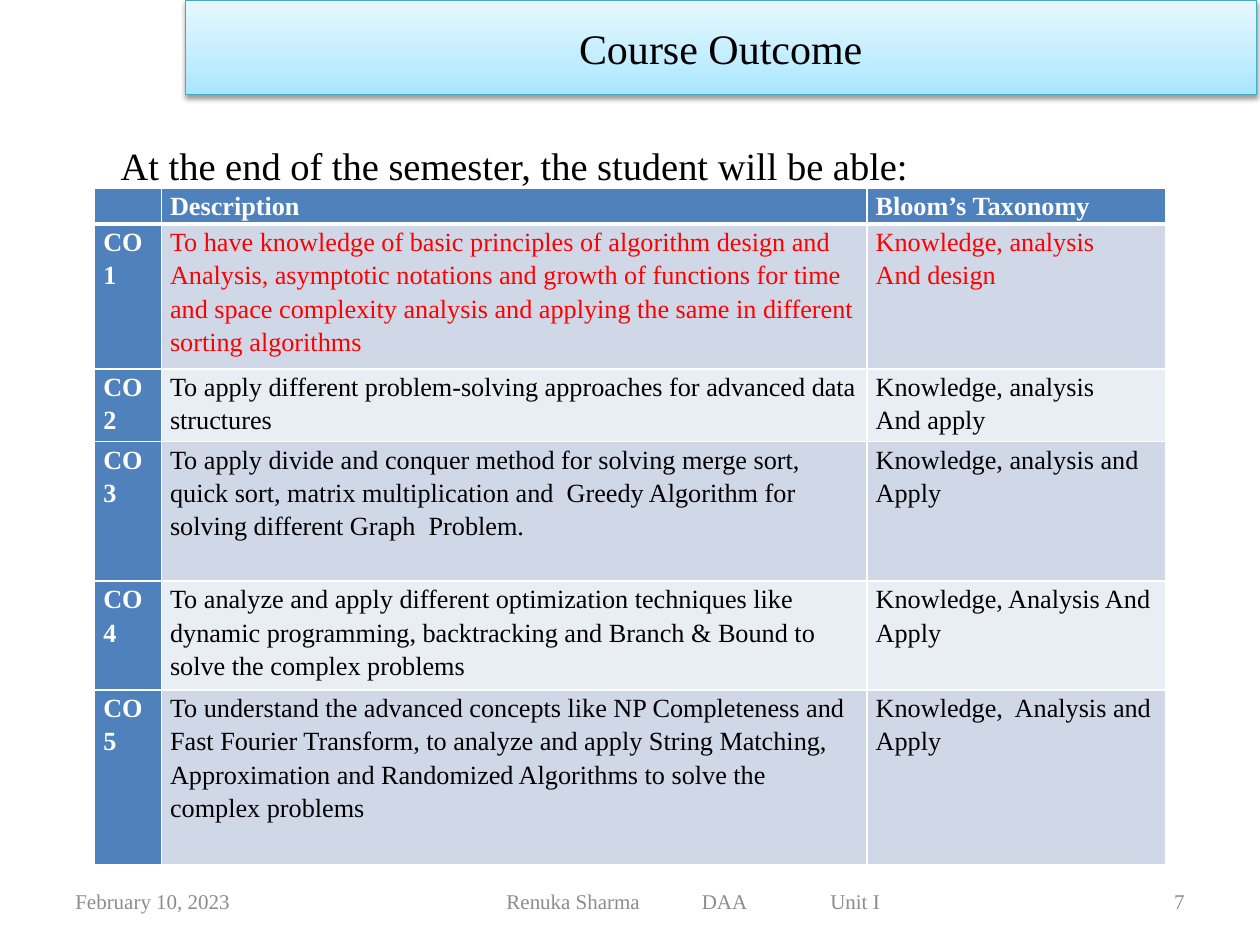
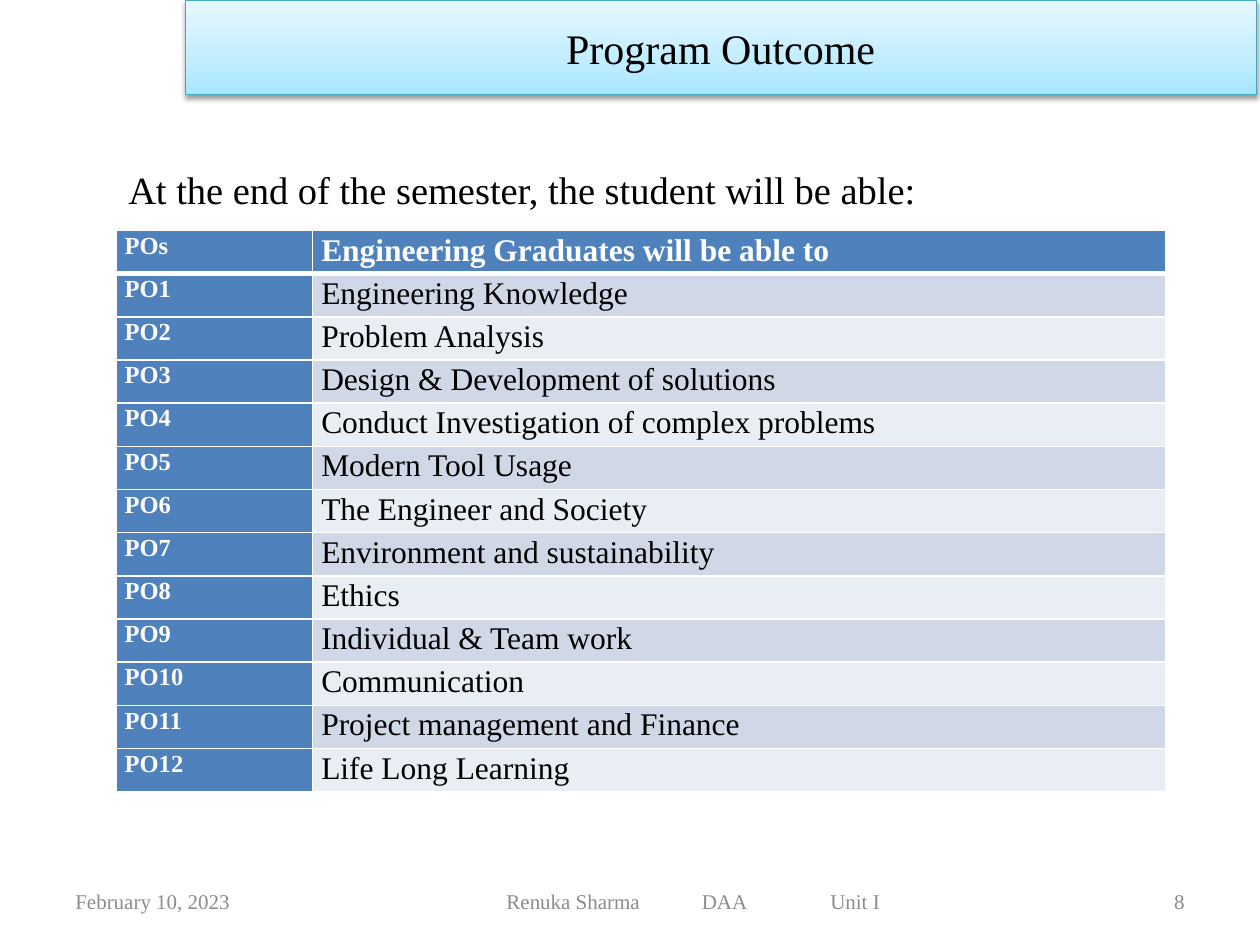
from dataclasses import dataclass

from pptx import Presentation
from pptx.dml.color import RGBColor as Rgb
from pptx.enum.text import MSO_ANCHOR as Anchor
from pptx.enum.text import MSO_AUTO_SIZE as AutoSize
from pptx.enum.text import PP_ALIGN as Align
from pptx.oxml import parse_xml
from pptx.oxml.ns import nsdecls
from pptx.util import Inches, Pt


@dataclass(frozen=True)
class Theme:
    font: str = "Times New Roman"
    ink: str = "000000"
    muted: str = "8C8C8C"
    highlight: str = "FF0000"
    white: str = "FFFFFF"
    header: str = "4F81BD"
    bands: tuple = ("D0D8E8", "E9EDF4")
    banner_stops: tuple = ((0, "A7E6FF"), (35, "C1EDFF"), (100, "E7F8FF"))
    banner_line: str = "46AAC5"
    title_size: int = 24
    intro_size: int = 22
    footer_size: int = 12


INTRO = "At the end of the semester, the student will be able:"
DATE = "February 10, 2023"
COURSE = "Renuka Sharma\tDAA\tUnit I"
COURSE_TABS = (1.55, 2.57)

COURSE_OUTCOMES = [
    ("", "Description", "Bloom’s Taxonomy"),
    ("CO1", "To have knowledge of basic principles of algorithm design and Analysis, "
     "asymptotic notations and growth of functions for time and space complexity "
     "analysis and applying the same in different sorting algorithms",
     "Knowledge, analysis\nAnd design"),
    ("CO2", "To apply different problem-solving approaches for advanced data structures",
     "Knowledge, analysis\nAnd apply"),
    ("CO3", "To apply divide and conquer method for solving merge sort, quick sort, "
     "matrix multiplication and  Greedy Algorithm for solving different Graph  Problem.",
     "Knowledge, analysis and Apply"),
    ("CO4", "To analyze and apply different optimization techniques like dynamic "
     "programming, backtracking and Branch & Bound to solve the complex problems",
     "Knowledge, Analysis And Apply"),
    ("CO5", "To understand the advanced concepts like NP Completeness and Fast Fourier "
     "Transform, to analyze and apply String Matching, Approximation and Randomized "
     "Algorithms to solve the complex problems",
     "Knowledge,  Analysis and Apply"),
]
LINES_PER_OUTCOME = (1, 4, 2, 4, 3, 5)

PROGRAM_OUTCOMES = [
    "Engineering Knowledge", "Problem Analysis", "Design & Development of solutions",
    "Conduct Investigation of complex problems", "Modern Tool Usage",
    "The Engineer and Society", "Environment and sustainability", "Ethics",
    "Individual & Team work", "Communication", "Project management and Finance",
    "Life Long Learning",
]


class Deck:
    def __init__(self, theme):
        self.theme = theme
        self.file = Presentation()
        self.file.slide_width, self.file.slide_height = Inches(10), Inches(7.5)
        self.slide = None

    def across(self, percent):
        return round(self.file.slide_width * percent / 100)

    def down(self, percent):
        return round(self.file.slide_height * percent / 100)

    def box(self, left, top, width, height):
        return self.across(left), self.down(top), self.across(width), self.down(height)

    def style(self, paragraph, size, color, bold=False, align=Align.LEFT, spacing=None):
        font = paragraph.font
        font.name, font.size, font.bold = self.theme.font, Pt(size), bold
        font.color.rgb = Rgb.from_string(color)
        paragraph.alignment = align
        if spacing:
            paragraph.line_spacing = spacing

    def start(self, heading, number):
        self.slide = self.file.slides.add_slide(self.file.slide_layouts[5])
        self.banner(heading)
        self.footer(number)

    def banner(self, heading):
        theme, title = self.theme, self.slide.shapes.title
        title.left, title.top, title.width, title.height = self.box(14.7, 0, 85, 10)
        title.line.color.rgb = Rgb.from_string(theme.banner_line)
        title.line.width = Pt(0.75)
        stops = "".join(f'<a:gs pos="{at * 1000}"><a:srgbClr val="{color}"/></a:gs>'
                        for at, color in theme.banner_stops)
        outline = title.line._ln
        outline.addprevious(parse_xml(
            f'<a:gradFill {nsdecls("a")} rotWithShape="1"><a:gsLst>{stops}</a:gsLst>'
            '<a:lin ang="16200000" scaled="0"/></a:gradFill>'))
        outline.addnext(parse_xml(
            f'<a:effectLst {nsdecls("a")}><a:outerShdw blurRad="{Pt(3.1)}" '
            f'dist="{Pt(1.6)}" dir="5400000" rotWithShape="0"><a:srgbClr val="{theme.ink}">'
            '<a:alpha val="38000"/></a:srgbClr></a:outerShdw></a:effectLst>'))
        frame = title.text_frame
        frame.text = heading
        frame.auto_size, frame.vertical_anchor = AutoSize.NONE, Anchor.MIDDLE
        self.style(frame.paragraphs[0], theme.title_size, theme.ink, align=Align.CENTER)

    def text(self, place, words, size, color, **look):
        frame = self.slide.shapes.add_textbox(*self.box(*place)).text_frame
        frame.word_wrap = True
        frame.text = words
        self.style(frame.paragraphs[0], size, color, **look)
        return frame

    def footer(self, number):
        parts = ((5, 23.3, DATE, Align.LEFT), (27.5, 55, COURSE, Align.LEFT),
                 (71.7, 23.3, str(number), Align.RIGHT))
        for left, width, words, align in parts:
            frame = self.text((left, 92.67, width, 5.33), words,
                              self.theme.footer_size, self.theme.muted, align=align)
            frame.vertical_anchor = Anchor.MIDDLE
            if words == COURSE:
                frame.margin_left = Inches(1.27)
                self.tabs(frame.paragraphs[0], COURSE_TABS)

    def tabs(self, paragraph, stops):
        marks = "".join(f'<a:tab pos="{Inches(stop)}" algn="l"/>' for stop in stops)
        paragraph._p.get_or_add_pPr().insert_element_before(
            parse_xml(f'<a:tabLst {nsdecls("a")}>{marks}</a:tabLst>'), "a:defRPr", "a:extLst")

    def intro(self, left, top):
        frame = self.text((left, top, 85, 6.67), INTRO, self.theme.intro_size,
                          self.theme.ink, spacing=1.15)
        frame.paragraphs[0].space_after = Pt(10)

    def table(self, left, top, widths, heights, rows, label_size, body_size,
              spacing, highlighted=None):
        theme = self.theme
        place = self.box(left, top, sum(widths), sum(heights))
        grid = self.slide.shapes.add_table(len(rows), len(widths), *place).table
        grid.first_col = True
        for column, width in zip(grid.columns, widths):
            column.width = self.across(width)
        for r, (row, height) in enumerate(zip(rows, heights)):
            grid.rows[r].height = self.down(height)
            for c, words in enumerate(row):
                label = r == 0 or c == 0
                fill = theme.header if label else theme.bands[(r - 1) % 2]
                color = theme.white if label else theme.ink
                if r == highlighted and not label:
                    color = theme.highlight
                cell = grid.cell(r, c)
                cell.text = words
                cell.margin_left = cell.margin_right = Inches(0.07)
                cell.margin_top = cell.margin_bottom = 0
                cell.fill.solid()
                cell.fill.fore_color.rgb = Rgb.from_string(fill)
                self.borders(cell, top=3 if r == 1 else 1, bottom=3 if r == 0 else 1)
                for paragraph in cell.text_frame.paragraphs:
                    self.style(paragraph, body_size if c else label_size, color,
                               bold=label, spacing=spacing)

    def borders(self, cell, top, bottom):
        properties = cell._tc.get_or_add_tcPr()
        for i, (side, width) in enumerate(zip("LRTB", (1, 1, top, bottom))):
            properties.insert(i, parse_xml(
                f'<a:ln{side} {nsdecls("a")} w="{Pt(width)}"><a:solidFill>'
                f'<a:srgbClr val="{self.theme.white}"/></a:solidFill></a:ln{side}>'))


def main():
    deck = Deck(Theme())

    deck.start("Course Outcome", 7)
    deck.table(7.5, 19.87, (5.3, 56, 23.7), [3.7 * lines for lines in LINES_PER_OUTCOME],
               COURSE_OUTCOMES, label_size=15, body_size=15, spacing=1.15, highlighted=1)
    deck.intro(8.6, 13.6)

    deck.start("Program Outcome", 8)
    deck.intro(9.2, 16.13)
    outcomes = [("POs", "Engineering Graduates will be able to")]
    outcomes += [(f"PO{n}", words) for n, words in enumerate(PROGRAM_OUTCOMES, 1)]
    deck.table(9.2, 24.4, (15.6, 67.7), [4.57] * len(outcomes), outcomes,
               label_size=14, body_size=18, spacing=1.07)

    deck.file.save("out.pptx")


if __name__ == "__main__":
    main()
